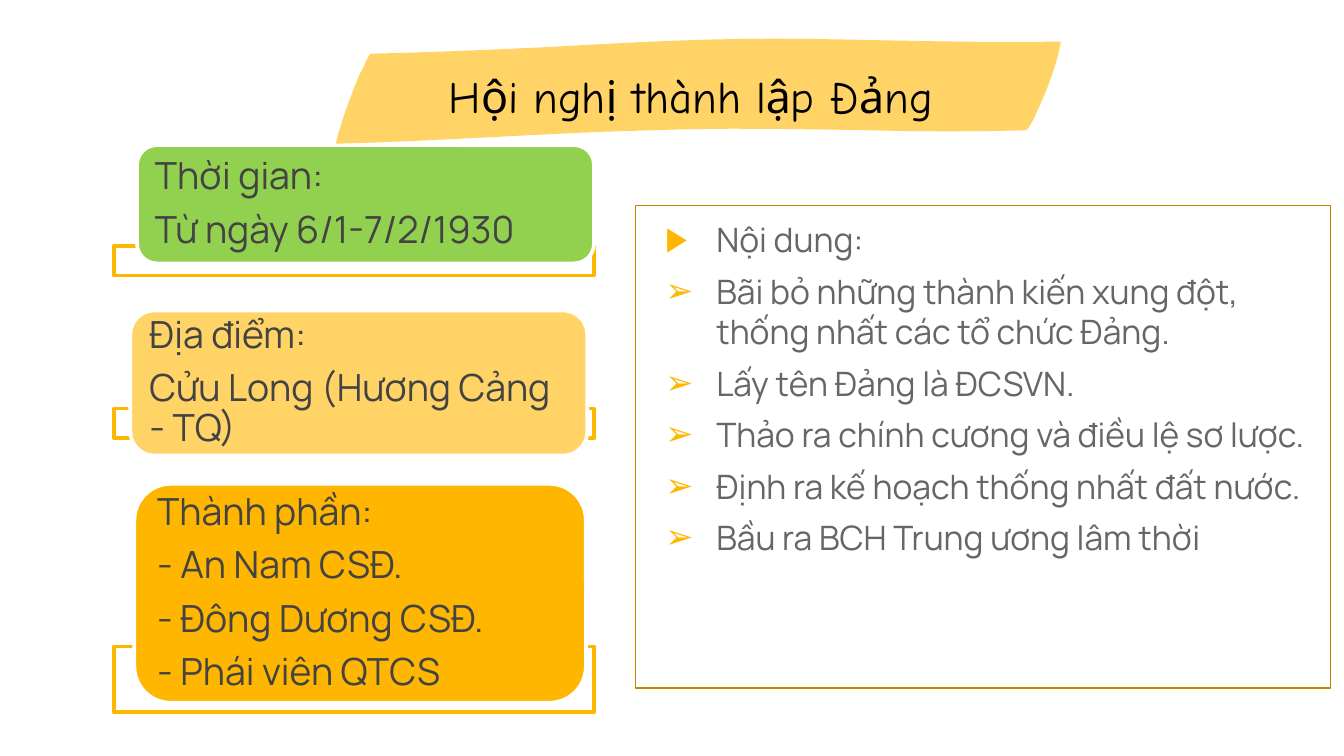
from lxml import etree
from pptx import Presentation
from pptx import util as u
from pptx.dml import color
from pptx.enum import shapes, text
from pptx.oxml import ns

COLORS = {"white": "FFFFFF", "green": "92D050", "yellow": "FFD366", "amber": "FFB600",
          "brown": "BF8800", "dark": "434343", "gray": "666666", "black": "000000"}

BANNER_START = (0, 0.79)
BANNER_CURVES = [
    ((0, 0.79), (0.02, 0.69), (0.03, 0.68)),
    ((0.05, 0.60), (0.08, 0.52), (0.11, 0.44)),
    ((0.14, 0.36), (0.17, 0.28), (0.21, 0.21)),
    ((0.21, 0.20), (0.25, 0.12), (0.26, 0.12)),
    ((0.71, 0.11), (1.15, 0.09), (1.59, 0.07)),
    ((2.28, 0.03), (2.88, 0), (3.53, 0.01)),
    ((4.15, 0.02), (4.77, 0.04), (5.39, 0.03)),
    ((5.40, 0.03), (5.37, 0.13), (5.37, 0.14)),
    ((5.35, 0.22), (5.32, 0.30), (5.29, 0.38)),
    ((5.26, 0.46), (5.22, 0.54), (5.19, 0.61)),
    ((5.18, 0.62), (5.15, 0.69), (5.13, 0.69)),
    ((4.75, 0.70), (4.36, 0.70), (3.98, 0.69)),
    ((3.39, 0.68), (2.88, 0.67), (2.33, 0.69)),
    ((1.56, 0.71), (0.78, 0.77), (0, 0.79)),
]

CARDS = [
    ((1.02, 1.08, 3.4, 0.88), (0.85, 1.83, 3.57, 0.22), "green",
     ["Thời gian:", "Từ ngày 6/1-7/2/1930"]),
    ((0.97, 2.31, 3.4, 1.08), (0.85, 3.04, 3.57, 0.22), "yellow",
     ["Địa điểm:", "Cửu Long (Hương Cảng - TQ)"]),
    ((1, 3.6, 3.36, 1.63), (0.85, 4.81, 3.57, 0.49), "amber",
     ["Thành phần:", "- An Nam CSĐ.", "- Đông Dương CSĐ.", "- Phái viên QTCS"]),
]

CONTENT = [
    "Nội dung:",
    "Bãi bỏ những thành kiến xung đột, thống nhất các tổ chức Đảng.",
    "Lấy tên Đảng là ĐCSVN.",
    "Thảo ra chính cương và điều lệ sơ lược.",
    "Định ra kế hoạch thống nhất đất nước.",
    "Bầu ra BCH Trung ương lâm thời",
]


def rgb(name):
    return color.RGBColor.from_string(COLORS[name])


def place(sp, box):
    sp.left, sp.top, sp.width, sp.height = map(u.Inches, box)


def paint(sp, fill, line=None, width=2):
    sp.fill.solid()
    sp.fill.fore_color.rgb = rgb(fill)
    if line:
        sp.line.color.rgb = rgb(line)
        sp.line.width = u.Pt(width)
    else:
        sp.line.fill.background()


def add_box(s, kind, box, fill, line):
    sp = s.shapes.add_shape(kind, *map(u.Inches, box))
    sp.shadow.inherit = False
    paint(sp, fill, line)
    return sp


def add_bullet(p, char):
    pPr = p._p.get_or_add_pPr()
    pPr.set("marL", str(u.Inches(0.5)))
    pPr.set("indent", str(u.Inches(-0.38)))
    clr = etree.SubElement(pPr, ns.qn("a:buClr"))
    etree.SubElement(clr, ns.qn("a:srgbClr"), val=COLORS["amber"])
    etree.SubElement(pPr, ns.qn("a:buChar"), char=char)


def write(sp, lines, size, font, ink, align=text.PP_ALIGN.LEFT, anchor=text.MSO_ANCHOR.TOP,
          inset=(0, 0), spacing=1.0, before=0, after=0, bullets=None):
    tf = sp.text_frame
    tf.word_wrap = True
    tf.auto_size = text.MSO_AUTO_SIZE.NONE
    tf.vertical_anchor = anchor
    tf.margin_left = tf.margin_right = u.Inches(inset[0])
    tf.margin_top = tf.margin_bottom = u.Inches(inset[1])
    for i, line in enumerate(lines):
        p = tf.add_paragraph() if i else tf.paragraphs[0]
        if bullets:
            add_bullet(p, bullets[min(i, len(bullets) - 1)])
        p.alignment = align
        p.line_spacing = spacing
        p.space_before = u.Pt(before if i else 0)
        p.space_after = u.Pt(after)
        r = p.add_run()
        r.text = line
        r.font.size = u.Pt(size)
        r.font.name = font
        r.font.color.rgb = rgb(ink)


def card(s, box, frame_box, fill, lines):
    frame = add_box(s, shapes.MSO_SHAPE.RECTANGLE, frame_box, "white", "amber")
    tint = frame._element.spPr.find(ns.qn("a:solidFill")).find(ns.qn("a:srgbClr"))
    etree.SubElement(tint, ns.qn("a:alpha"), val="90000")
    sp = add_box(s, shapes.MSO_SHAPE.ROUNDED_RECTANGLE, box, fill, "white")
    write(sp, lines, 20, "Manrope", "dark", anchor=text.MSO_ANCHOR.MIDDLE,
          inset=(0.09, 0), spacing=0.9, after=7)


def content(s, box):
    sp = s.placeholders[1]
    place(sp, box)
    paint(sp, "white", "brown", 0.75)
    write(sp, CONTENT, 18, "Manrope", "gray", inset=(0.1, 0.1), before=6, bullets="▶➢")


def curve_points(start, curves, steps=8):
    points = []
    for c1, c2, end in curves:
        for i in range(1, steps + 1):
            t = i / steps
            points.append(tuple(u.Inches((1 - t) ** 3 * a + 3 * (1 - t) ** 2 * t * b
                                         + 3 * (1 - t) * t ** 2 * c + t ** 3 * d)
                                for a, b, c, d in zip(start, c1, c2, end)))
        start = end
    return points


def banner(s, left, top):
    fb = s.shapes.build_freeform(*map(u.Inches, BANNER_START))
    fb.add_line_segments(curve_points(BANNER_START, BANNER_CURVES), close=True)
    sp = fb.convert_to_shape(u.Inches(left), u.Inches(top))
    sp.shadow.inherit = False
    paint(sp, "yellow")
    title = s.shapes.title
    place(title, (left + 0.1, top + 0.23, 5.08, 0.4))
    write(title, ["Hội nghị thành lập Đảng"], 24, "Comic Neue", "black",
          align=text.PP_ALIGN.CENTER)
    sp._element.addnext(title._element)


def main():
    prs = Presentation()
    prs.slide_width = u.Inches(10)
    prs.slide_height = prs.slide_width * 9 // 16
    s = prs.slides.add_slide(prs.slide_layouts[1])
    for box, frame_box, fill, lines in CARDS:
        card(s, box, frame_box, fill, lines)
    content(s, (4.73, 1.53, 5.17, 3.59))
    banner(s, 2.5, 0.28)
    prs.save("out.pptx")


if __name__ == "__main__":
    main()
